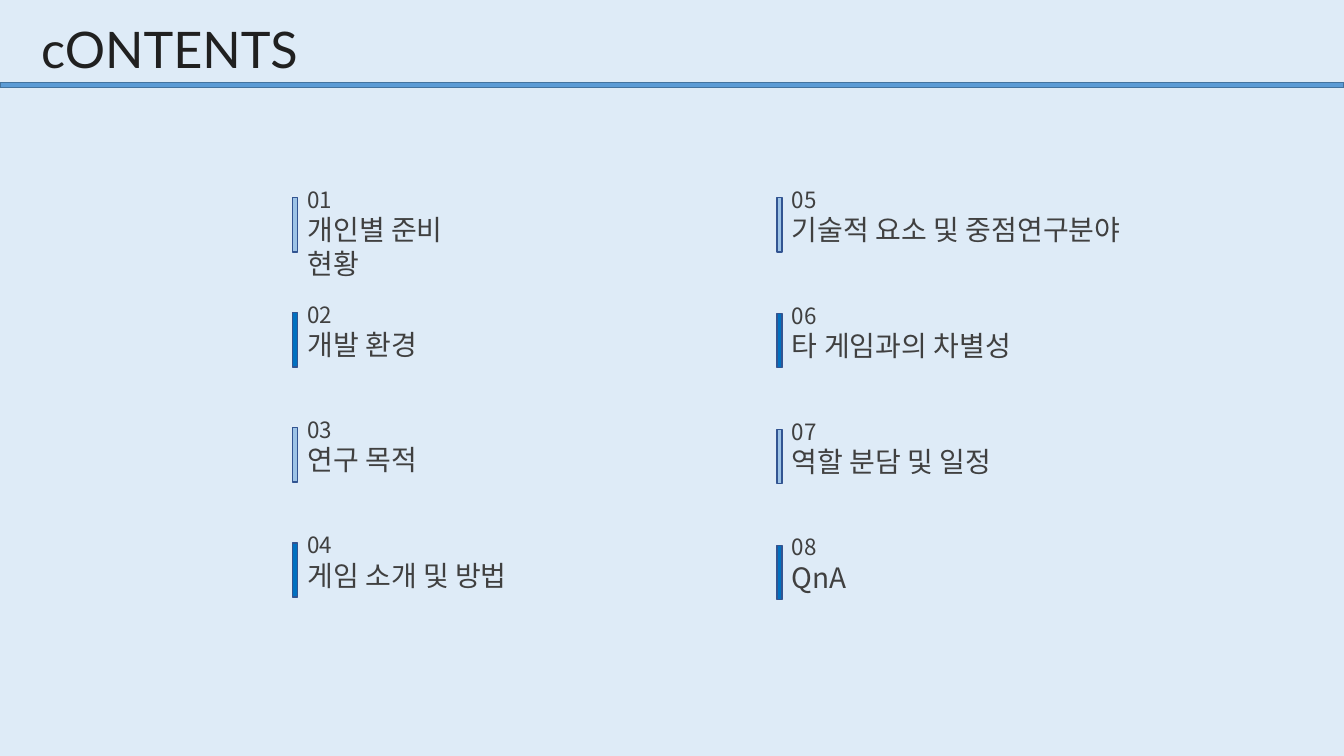
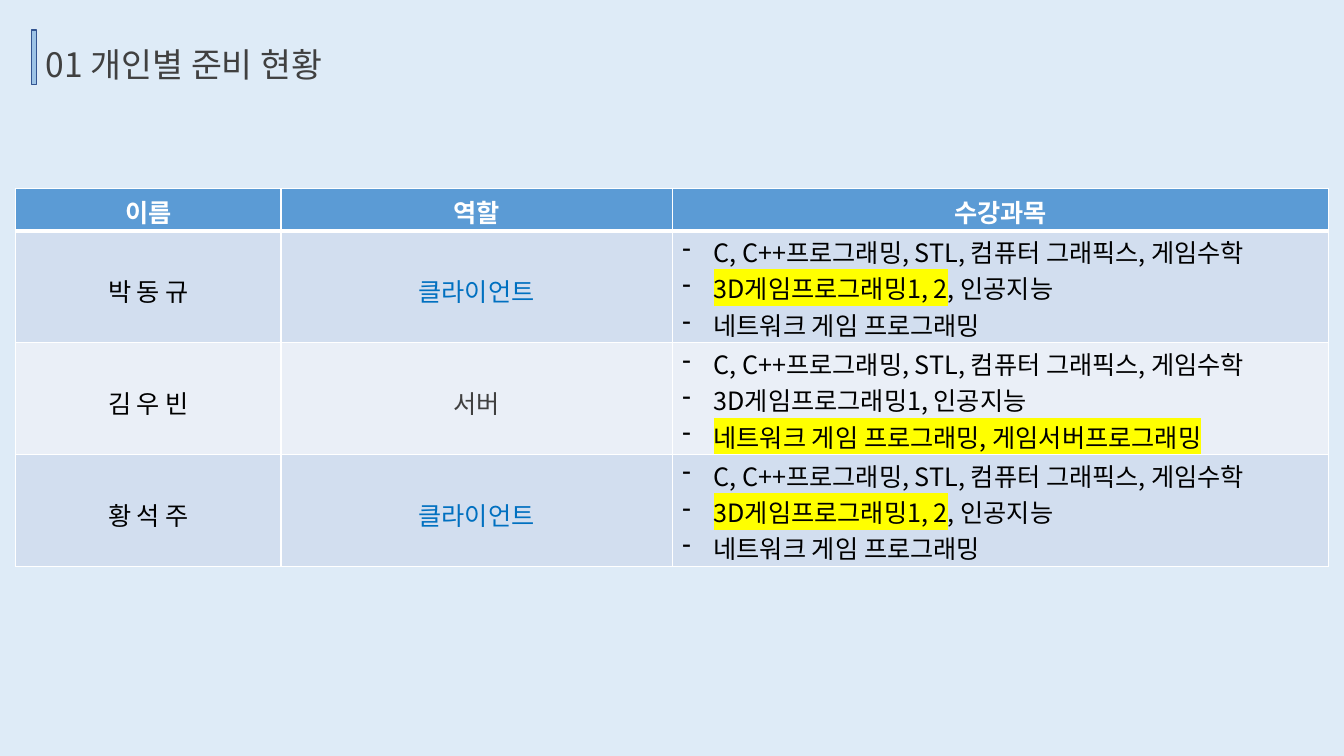
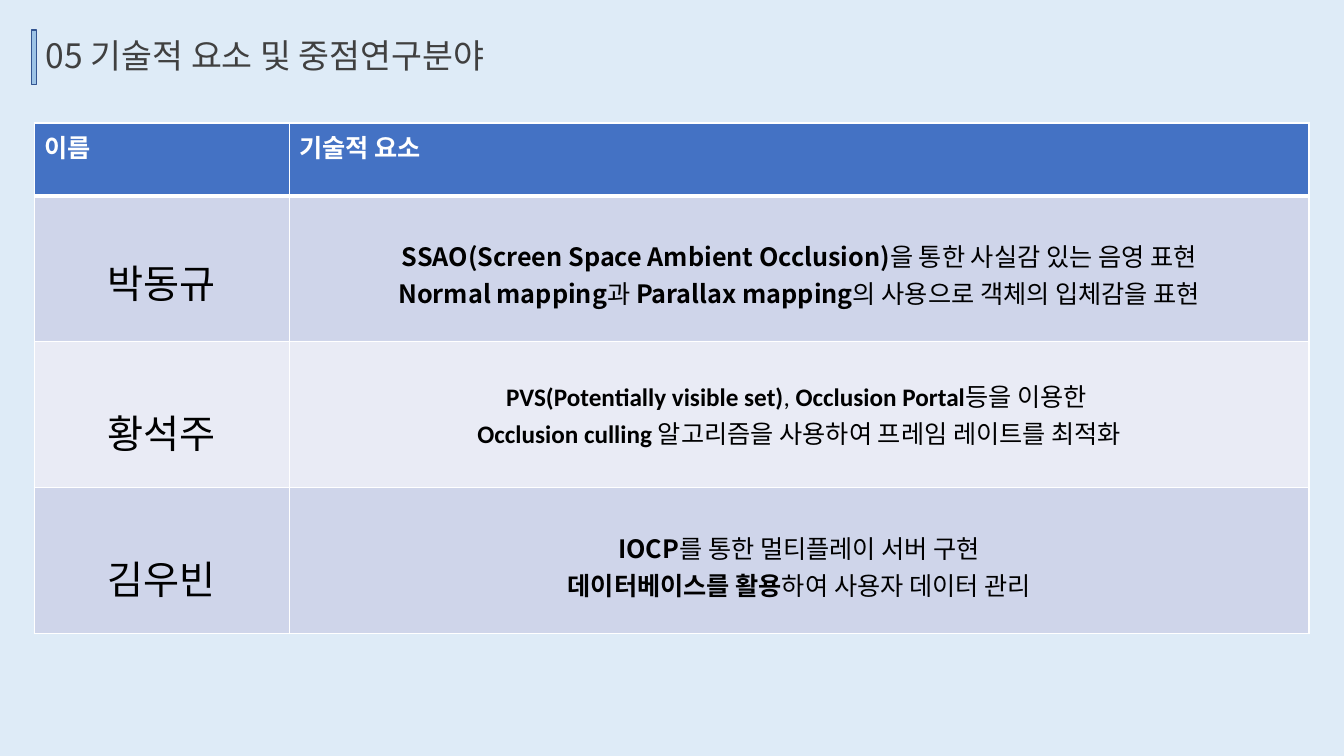
"""Builds a contents page and two table pages of a game project deck."""
from lxml import etree
from pptx import Presentation
from pptx.dml.color import RGBColor
from pptx.enum.shapes import MSO_SHAPE
from pptx.enum.text import PP_ALIGN
from pptx.oxml.ns import qn
from pptx.util import Cm, Pt

RECTANGLE = MSO_SHAPE.RECTANGLE
LEFT, CENTER = PP_ALIGN.LEFT, PP_ALIGN.CENTER
FONT = "Noto Sans CJK KR"
COLORS = {
    "page": "DEEBF7", "title": "202020", "text": "404040", "black": "000000",
    "white": "FFFFFF", "light": "9DC3E6", "strong": "0070C0", "edge": "325491",
    "band": "5B9BD5", "band edge": "43739E", "marker": "FFFF00",
}
SKY = {"header": "5B9BD5", "odd": "D2DEEF", "even": "EAEFF7"}
INDIGO = {"header": "4472C4", "odd": "CFD5EA", "even": "E9EBF5"}
BAR_WIDTH, BAR_HEIGHT = 0.13, 1.37

CONTENTS = [
    (7.37, 2.9, [("개인별 준비 현황", 5.35), ("개발 환경", 3.61),
                 ("연구 목적", 3.61), ("게임 소개 및 방법", 6.25)]),
    (19.58, 2.92, [("기술적 요소 및 중점연구분야", 9.8), ("타 게임과의 차별성", 6.71),
                   ("역할 분담 및 일정", 6.25), ("QnA", 2.1)]),
]
CONTENTS_TOP = 4.98

BASIC_COURSES = [("C, C++프로그래밍, STL, 컴퓨터 그래픽스, 게임수학", "")]
CLIENT_COURSES = [
    BASIC_COURSES,
    [("3D게임프로그래밍1, 2", "highlight"), (", 인공지능", "")],
    [("네트워크 게임 프로그래밍", "")],
]
SERVER_COURSES = [
    BASIC_COURSES,
    [("3D게임프로그래밍1, 인공지능", "")],
    [("네트워크 게임 프로그래밍, 게임서버프로그래밍", "highlight")],
]
MEMBERS = [
    ("박 동 규", "클라이언트", "strong", CLIENT_COURSES),
    ("김 우 빈", "서버", "text", SERVER_COURSES),
    ("황 석 주", "클라이언트", "strong", CLIENT_COURSES),
]
TECHNIQUES = [
    ("박동규", 1.45, FONT, 1.05, [
        [("SSAO(Screen Space Ambient Occlusion)", "bold"), ("을 통한 사실감 있는 음영 표현", "")],
        [("Normal mapping", "bold"), ("과 ", ""), ("Parallax mapping", "bold"),
         ("의 사용으로 객체의 입체감을 표현", "")],
    ]),
    ("황석주", 1.55, "Calibri", 0.9, [
        [("PVS(Potentially visible set)", "bold"), (", ", ""), ("Occlusion Portal", "bold"),
         ("등을 이용한 ", "")],
        [("Occlusion culling ", "bold"), ("알고리즘을 사용하여 프레임 레이트를 최적화", "")],
    ]),
    ("김우빈", 1.55, FONT, 1.05, [
        [("IOCP", "bold"), ("를 통한 멀티플레이 서버 구현", "")],
        [("데이터베이스를 활용", "bold"), ("하여 사용자 데이터 관리", "")],
    ]),
]


def rgb(value):
    return RGBColor.from_string(value)


def add_color(parent, tag, value):
    holder = etree.SubElement(parent, qn(tag))
    etree.SubElement(holder, qn("a:srgbClr"), val=value)


def style_paragraph(para, size, color, latin=FONT, bold=False, align=LEFT):
    para.alignment = align
    font = para.font
    font.size, font.bold, font.name = Pt(size), bold, latin
    font.color.rgb = rgb(COLORS[color])
    properties = para._p.pPr.find(qn("a:defRPr"))
    etree.SubElement(properties, qn("a:ea"), typeface=FONT)


def add_spans(para, spans):
    for text, mark in spans:
        span = para.add_run()
        span.text = text
        if mark == "bold":
            span.font.bold = True
        elif mark == "highlight":
            add_color(span._r.get_or_add_rPr(), "a:highlight", COLORS["marker"])


def add_text(page, left, top, width, height, lines, color="text", latin=FONT):
    box = page.shapes.add_textbox(Cm(left), Cm(top), Cm(width), Cm(height))
    frame = box.text_frame
    frame.word_wrap = True
    for index, (text, size) in enumerate(lines):
        para = frame.add_paragraph() if index else frame.paragraphs[0]
        style_paragraph(para, size, color, latin)
        para.add_run().text = text


def add_bar(page, left, top, width, height, fill, edge="edge"):
    bar = page.shapes.add_shape(RECTANGLE, Cm(left), Cm(top), Cm(width), Cm(height))
    bar.shadow.inherit = False
    bar.fill.solid()
    bar.fill.fore_color.rgb = rgb(COLORS[fill])
    bar.line.color.rgb = rgb(COLORS[edge])
    bar.line.width = Pt(1)


def add_section_page(deck, title, title_top):
    page = deck.slides.add_slide(deck.slide_layouts[6])
    add_text(page, 0.91, title_top, 13.5, 1.28, [(title, 24)])
    add_bar(page, 0.79, 0.76, BAR_WIDTH, BAR_HEIGHT, "light")
    return page


def add_borders(cell, row):
    properties = cell._tc.get_or_add_tcPr()
    widths = {"L": 1, "R": 1, "T": 3 if row == 1 else 1, "B": 3 if row == 0 else 1}
    for index, (side, width) in enumerate(widths.items()):
        line = etree.Element(qn("a:ln" + side), w=str(Pt(width)))
        add_color(line, "a:solidFill", COLORS["white"])
        properties.insert(index, line)


def add_table(page, left, top, widths, heights, palette):
    table = page.shapes.add_table(len(heights), len(widths), Cm(left), Cm(top),
                                  Cm(sum(widths)), Cm(sum(heights))).table
    for column, width in zip(table.columns, widths):
        column.width = Cm(width)
    for row, height in enumerate(heights):
        table.rows[row].height = Cm(height)
        band = "header" if row == 0 else "odd" if row % 2 else "even"
        for cell in table.rows[row].cells:
            cell.fill.solid()
            cell.fill.fore_color.rgb = rgb(palette[band])
            add_borders(cell, row)
    return table


def fill_cell(cell, lines, margin_top, size=18, color="black", latin=FONT,
              bold=False, align=CENTER, dashes=False):
    cell.margin_top, cell.margin_bottom = Cm(margin_top), Cm(0)
    frame = cell.text_frame
    for index, spans in enumerate(lines):
        para = frame.add_paragraph() if index else frame.paragraphs[0]
        style_paragraph(para, size, color, latin, bold, align)
        add_spans(para, spans)
        if dashes:
            properties = para._p.pPr
            properties.set("marL", str(Cm(0.79)))
            properties.set("indent", str(-Cm(0.79)))
            bullet = etree.Element(qn("a:buChar"), char="-")
            properties.find(qn("a:defRPr")).addprevious(bullet)


def fill_header(table, titles, align):
    for cell, title in zip(table.rows[0].cells, titles):
        fill_cell(cell, [[(title, "")]], 0.12, color="white", bold=True, align=align)


def build_contents(deck):
    page = deck.slides.add_slide(deck.slide_layouts[6])
    number = 0
    for left, pitch, entries in CONTENTS:
        for row, (text, width) in enumerate(entries):
            number += 1
            top = CONTENTS_TOP + row * pitch
            add_bar(page, left, top, BAR_WIDTH, BAR_HEIGHT, "strong" if row % 2 else "light")
            add_text(page, left + BAR_WIDTH, top - 0.42, width, 1.8,
                     [(f"{number:02}", 16), (text, 20)])
    add_bar(page, 0, 2.08, 33.87, 0.13, "band", "band edge")
    add_text(page, 0.79, 0.33, 7.39, 1.8, [("cONTENTS", 36)], "title", "Lato")


def build_members(deck):
    page = add_section_page(deck, "01 개인별 준비 현황", 0.97)
    table = add_table(page, 0.4, 4.75, [6.68, 9.86, 16.54], [1.07] + [2.82] * 3, SKY)
    fill_header(table, ["이름", "역할", "수강과목"], CENTER)
    for row, (name, role, color, courses) in enumerate(MEMBERS, 1):
        fill_cell(table.cell(row, 0), [[(name, "")]], 1.05)
        fill_cell(table.cell(row, 1), [[(role, "")]], 1.05, color=color)
        fill_cell(table.cell(row, 2), courses, 0.05, align=LEFT, dashes=True)


def build_techniques(deck):
    page = add_section_page(deck, "05 기술적 요소 및 중점연구분야", 0.76)
    table = add_table(page, 0.86, 3.1, [6.43, 25.7], [1.83] + [3.68] * 3, INDIGO)
    fill_header(table, ["이름", "기술적 요소"], LEFT)
    for row, (name, name_top, latin, text_top, lines) in enumerate(TECHNIQUES, 1):
        fill_cell(table.cell(row, 0), [[(name, "")]], name_top, size=28)
        fill_cell(table.cell(row, 1), lines, text_top, latin=latin)


def main():
    deck = Presentation()
    deck.slide_width, deck.slide_height = Cm(33.87), Cm(19.05)
    background = deck.slide_master.background.fill
    background.solid()
    background.fore_color.rgb = rgb(COLORS["page"])
    build_contents(deck)
    build_members(deck)
    build_techniques(deck)
    deck.save("out.pptx")


if __name__ == "__main__":
    main()
